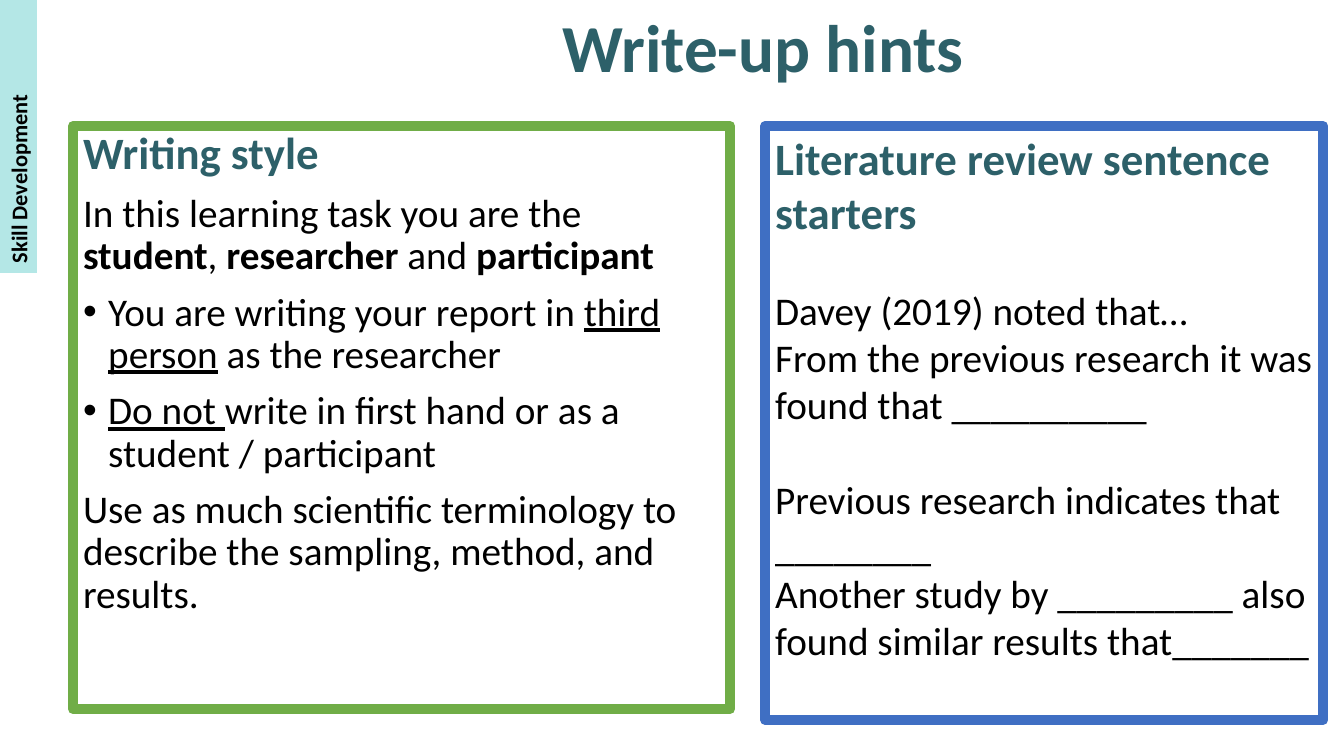
from dataclasses import dataclass

from lxml import etree
from pptx import Presentation
from pptx import util as u
from pptx.dml.color import RGBColor
from pptx.enum import shapes, text

PX = 914400 / 100.8  # EMU in one px


@dataclass(frozen=True)
class Theme:
    font: str = "Calibri"
    heading: str = "2D6069"
    ink: str = "000000"
    white: str = "FFFFFF"
    tab: str = "B4E7E6"
    green: str = "70AD47"
    blue: str = "3F6FC3"
    title_size: int = 48
    heading_size: int = 32
    body_size: int = 28
    tab_size: int = 16


THEME = Theme()


def px(length):
    return u.Emu(round(length * PX))


def write(frame, content, first=False, size=THEME.body_size, color=THEME.ink,
          bold=False, before=0, spacing=1.0, bullet=False):
    """Write one paragraph; *stars* mark bold words, _bars_ marked by | are underlined."""
    para = frame.paragraphs[0] if first else frame.add_paragraph()
    para.alignment = text.PP_ALIGN.LEFT
    para.line_spacing = spacing
    para.space_before = u.Pt(before)
    if bullet:
        props = para._p.get_or_add_pPr()
        props.set("marL", str(u.Inches(0.25)))
        props.set("indent", str(-u.Inches(0.25)))
        namespace = etree.QName(props).namespace
        for tag, key, value in (("buFont", "typeface", "Arial"), ("buChar", "char", "•")):
            etree.SubElement(props, f"{{{namespace}}}{tag}").set(key, value)
    for strong_index, strong_part in enumerate(content.split("*")):
        for under_index, part in enumerate(strong_part.split("|")):
            if not part:
                continue
            span = para.add_run()
            span.text = part
            span.font.name = THEME.font
            span.font.size = u.Pt(size)
            span.font.color.rgb = RGBColor.from_string(color)
            span.font.bold = bold or strong_index % 2 == 1
            span.font.underline = under_index % 2 == 1


class Page:
    def __init__(self, deck, theme):
        self.theme = theme
        self.slide = deck.slides.add_slide(deck.slide_layouts[5])

    def prepare(self, box, wrap=True):
        frame = box.text_frame
        frame.word_wrap = wrap
        frame.auto_size = text.MSO_AUTO_SIZE.NONE
        frame.vertical_anchor = text.MSO_ANCHOR.TOP
        frame.margin_left = frame.margin_right = px(10)
        frame.margin_top = frame.margin_bottom = px(5)
        return frame

    def title(self, content, left, top, width, height):
        box = self.slide.shapes.title
        box.left, box.top, box.width, box.height = map(px, (left, top, width, height))
        write(self.prepare(box, wrap=False), content, first=True,
              size=self.theme.title_size, color=self.theme.heading, bold=True)

    def panel(self, left, top, width, height, fill=None, line=None, weight=7, rotation=0):
        box = self.slide.shapes.add_shape(
            shapes.MSO_SHAPE.RECTANGLE, *map(px, (left, top, width, height)))
        box.shadow.inherit = False
        box.rotation = rotation
        if fill:
            box.fill.solid()
            box.fill.fore_color.rgb = RGBColor.from_string(fill)
        else:
            box.fill.background()
        if line:
            box.line.color.rgb = RGBColor.from_string(line)
            box.line.width = u.Pt(weight)
        else:
            box.line.fill.background()
        return self.prepare(box)

    def heading(self, frame, content, spacing=1.0):
        write(frame, content, first=True, size=self.theme.heading_size,
              color=self.theme.heading, bold=True, spacing=spacing)


def main():
    deck = Presentation()
    deck.slide_width, deck.slide_height = u.Inches(13.33), u.Inches(7.5)
    page = Page(deck, THEME)

    # Writing style panel
    style = page.panel(73, 126, 657, 583, fill=THEME.white, line=THEME.green, weight=7.25)
    page.heading(style, "Writing style", spacing=0.9)
    for content, bullet in (
        ("In this learning task you are the *student*, *researcher* and *participant*", False),
        ("You are writing your report in |third person| as the researcher", True),
        ("|Do not |write in first hand or as a student / participant", True),
        ("Use as much scientific terminology to describe the sampling, method, "
         "and results.", False),
    ):
        write(style, content, before=10, spacing=0.9, bullet=bullet)

    # Side tab
    tab = page.panel(-118, 118, 273, 37, fill=THEME.tab, rotation=270)
    write(tab, "Skill Development", first=True, size=THEME.tab_size, bold=True)

    # Sentence starters panel, with a one-line gap before each group
    starters = page.panel(765, 126, 558, 594, line=THEME.blue)
    page.heading(starters, "Literature review sentence starters")
    for group in (
        ("Davey (2019) noted that…",
         "From the previous research it was found that __________"),
        ("Previous research indicates that ________",
         "Another study by _________ also found similar results that_______"),
    ):
        for index, content in enumerate(group):
            write(starters, content, before=0 if index else 34)

    # Title
    page.title("Write-up hints", 552, 0, 426, 92)

    deck.save("out.pptx")


if __name__ == "__main__":
    main()
